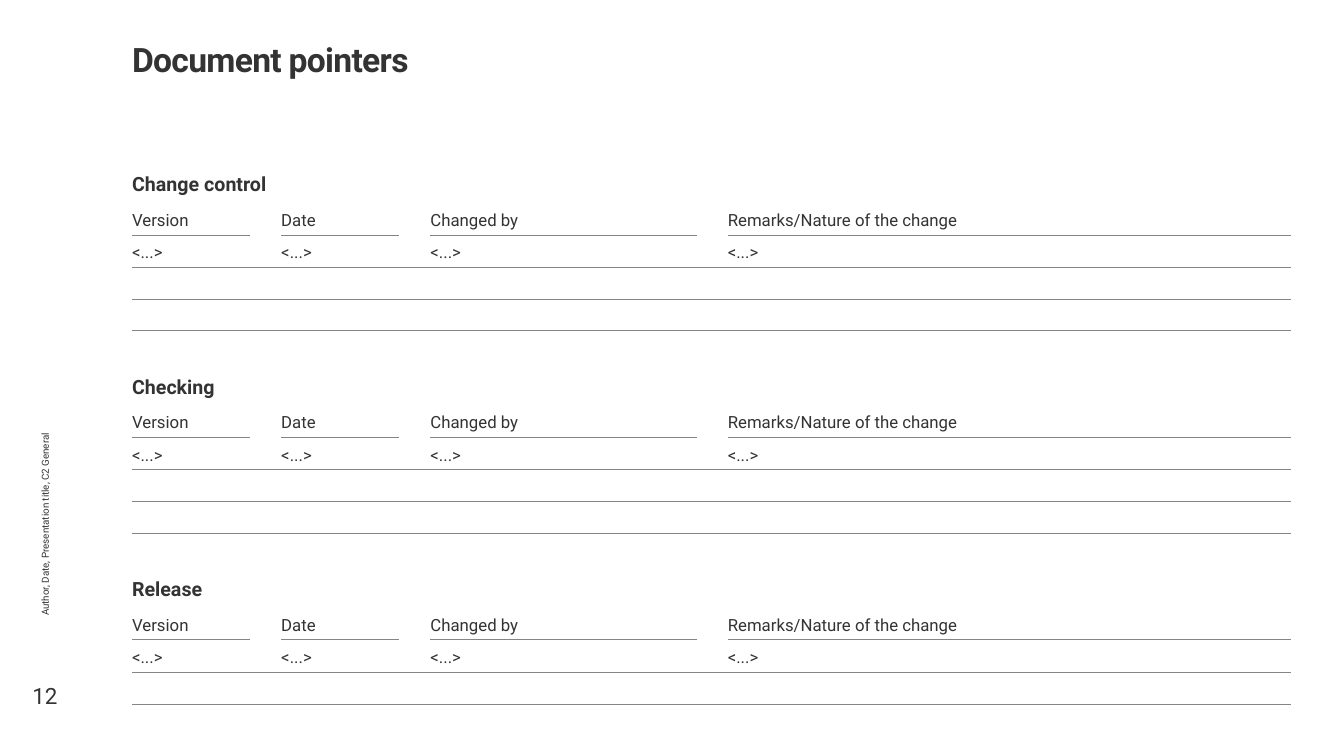
"""Build the document pointers slide with its three control tables."""
from lxml.etree import SubElement
from pptx import Presentation
from pptx.dml.color import RGBColor as RGB
from pptx.enum.text import MSO_ANCHOR as ANCHOR, MSO_AUTO_SIZE as AUTO, PP_ALIGN as ALIGN
from pptx.oxml import parse_xml
from pptx.oxml.ns import nsdecls, qn
from pptx.util import Inches, Pt

COLORS = {"text": "333333", "line": "858585"}
SECTIONS = ["Change control", "Checking", "Release"]
HEADERS = ["Version", "Date", "Changed by", "Remarks/Nature of the change"]
COL_WIDTHS = [1.17, 0.31, 1.17, 0.31, 2.64, 0.31, 5.59]
SECTION_HEIGHTS = [0.39, 0.32, 0.32, 0.32, 0.31, 0.35]
ROW_HEIGHTS = (SECTION_HEIGHTS * 3)[:16]
NO_STYLE = "{2D5ABB26-0587-4C30-8999-92F81FD0307C}"


def add_run(p, text, size, bold=False):
    r = p.add_run()
    r.text = text
    r.font.name = "Roboto"
    r.font.size = Pt(size)
    r.font.bold = bold
    r.font.color.rgb = RGB.from_string(COLORS["text"])
    return r


def set_frame(tf, anchor, top=0, bottom=0):
    tf.word_wrap = True
    tf.auto_size = AUTO.NONE
    tf.vertical_anchor = anchor
    tf.margin_left = tf.margin_right = 0
    tf.margin_top, tf.margin_bottom = Inches(top), Inches(bottom)


prs = Presentation()
prs.slide_width, prs.slide_height = Inches(13.33), Inches(7.5)
s = prs.slides.add_slide(prs.slide_layouts[5])

title = s.shapes.title
title.left, title.top = Inches(1.31), Inches(0.36)
title.width, title.height = Inches(11.5), Inches(0.79)
set_frame(title.text_frame, ANCHOR.TOP, top=0.03)
p = title.text_frame.paragraphs[0]
p.alignment = ALIGN.LEFT
r = add_run(p, "Document pointers", 24, True)
r.font._element.set("spc", "-50")

tbl = s.shapes.add_table(len(ROW_HEIGHTS), len(COL_WIDTHS), Inches(1.31), Inches(1.62),
                         Inches(11.5), Inches(5.37)).table
tbl.first_row = tbl.horz_banding = False
tbl._tbl.tblPr.find(qn("a:tableStyleId")).text = NO_STYLE
for col, width in zip(tbl.columns, COL_WIDTHS):
    col.width = Inches(width)

for i, height in enumerate(ROW_HEIGHTS):
    tbl.rows[i].height = Inches(height)
    section, step = divmod(i, len(SECTION_HEIGHTS))
    if step == 0:
        tbl.cell(i, 0).merge(tbl.cell(i, len(COL_WIDTHS) - 1))
    for j in range(len(COL_WIDTHS)):
        cell = tbl.cell(i, j)
        cell.fill.background()
        cell.vertical_anchor = ANCHOR.MIDDLE
        cell.margin_left = 0
        cell.margin_right = cell.margin_top = Inches(0.08)
        cell.margin_bottom = Inches(0.04)
        p = cell.text_frame.paragraphs[0]
        is_field = j % 2 == 0
        if step == 0 and j == 0:
            add_run(p, SECTIONS[section], 14, True)
        elif step == 1 and is_field:
            add_run(p, HEADERS[j // 2], 12)
        elif step == 2 and is_field:
            add_run(p, "<...>", 12)
        else:
            SubElement(p._p, qn("a:endParaRPr"), sz="1000")
        if step in (2, 3, 4) or (step == 1 and is_field):
            cell._tc.tcPr.insert(0, parse_xml(
                f'<a:lnB {nsdecls("a")} w="{Pt(0.5)}"><a:solidFill>'
                f'<a:srgbClr val="{COLORS["line"]}"/></a:solidFill></a:lnB>'))

footer = s.shapes.add_textbox(Inches(-1.8), Inches(3.71), Inches(4.49), Inches(0.31))
footer.rotation = 270
set_frame(footer.text_frame, ANCHOR.MIDDLE)
add_run(footer.text_frame.paragraphs[0], "Author, Date, Presentation title, C2 General", 7)

number = s.shapes.add_textbox(Inches(0.21), Inches(6.66), Inches(0.47), Inches(0.39))
set_frame(number.text_frame, ANCHOR.BOTTOM, bottom=0.02)
p = number.text_frame.paragraphs[0]
p.alignment = ALIGN.CENTER
add_run(p, "12", 16)

prs.save("out.pptx")
